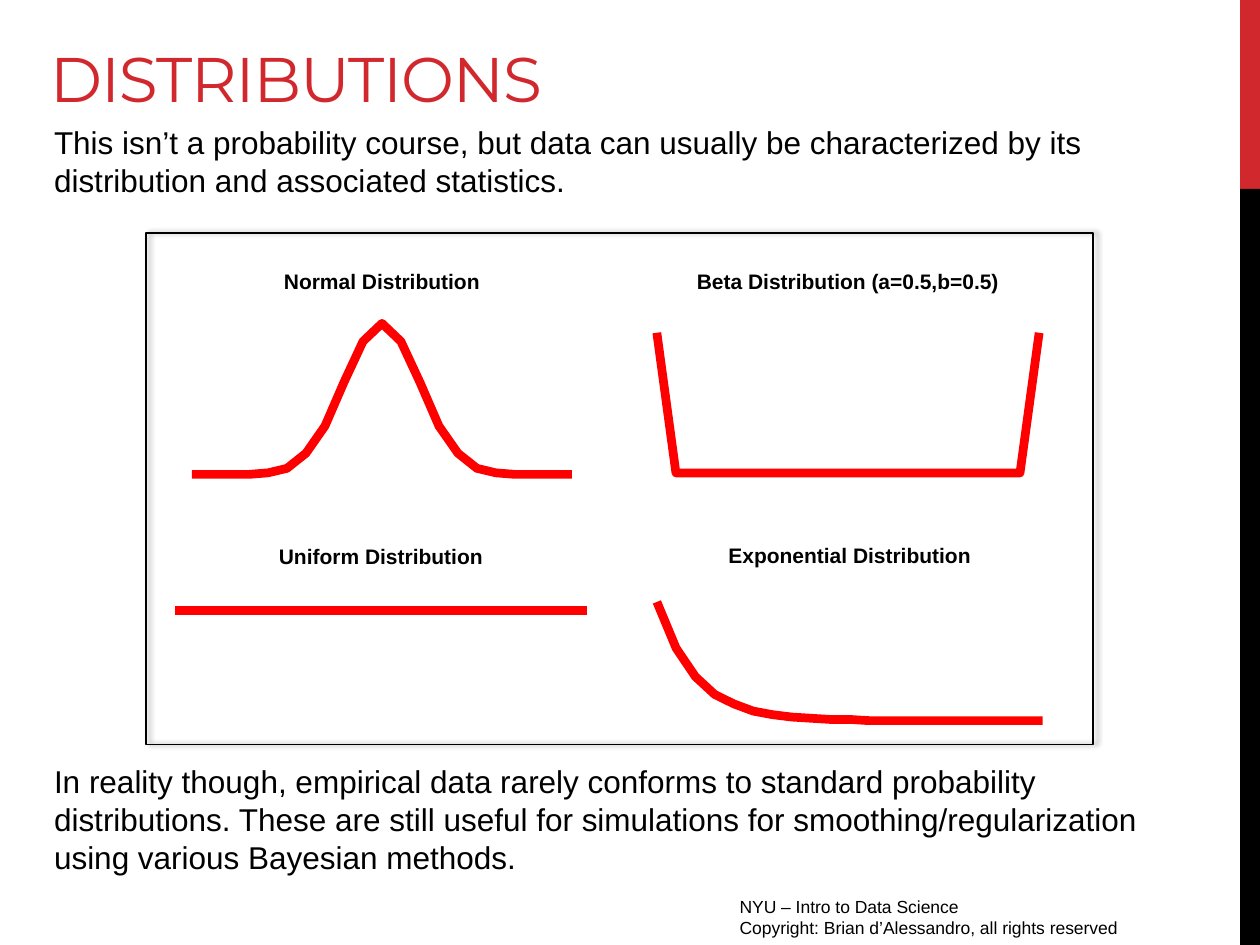
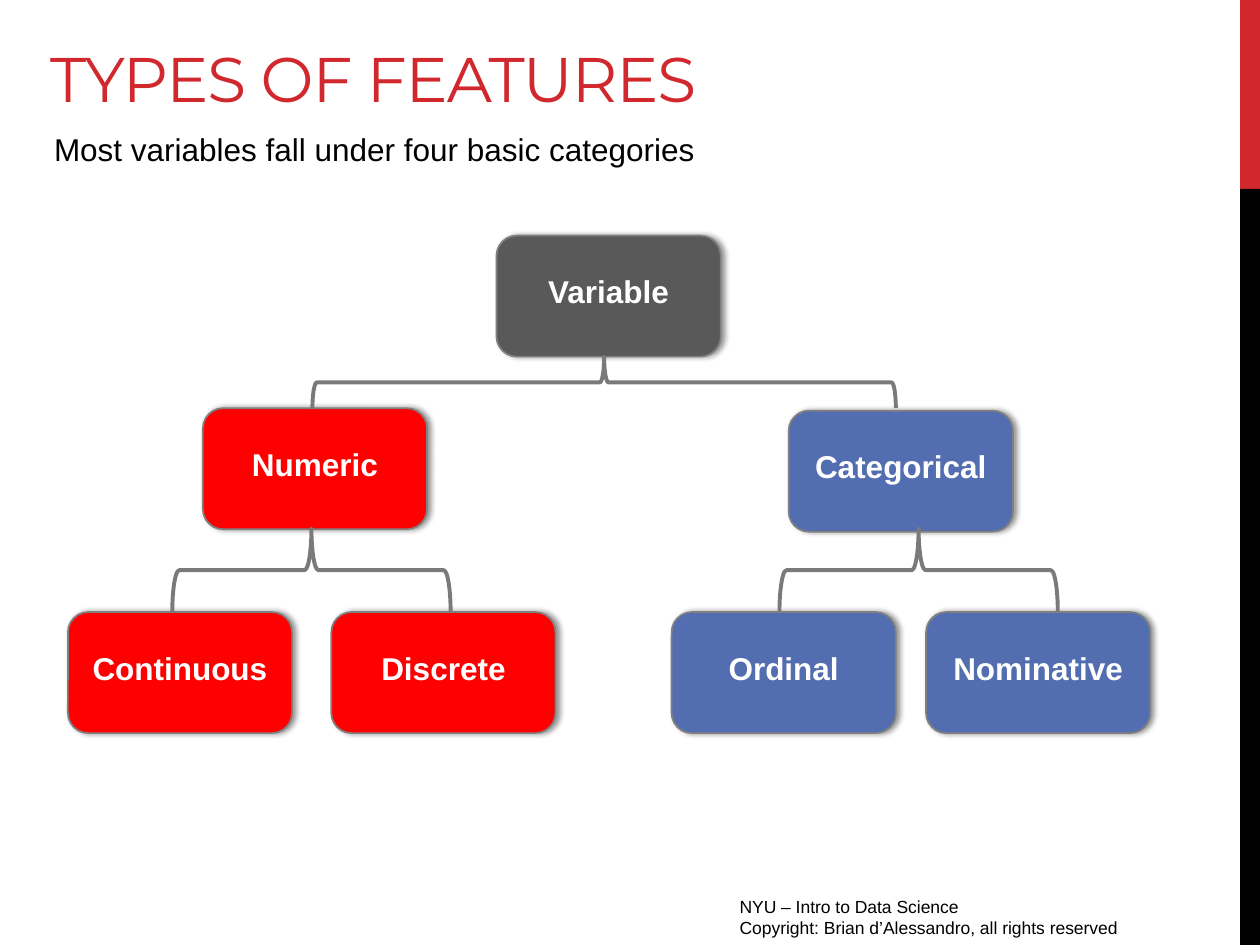
"""Build two data science slides: distributions and types of features."""
from math import exp
from lxml import etree
from pptx import Presentation
from pptx.chart.data import XyChartData
from pptx.dml.color import RGBColor
from pptx.enum.chart import XL_CHART_TYPE
from pptx.enum.shapes import MSO_SHAPE
from pptx.enum.text import MSO_ANCHOR, PP_ALIGN
from pptx.oxml import parse_xml
from pptx.oxml.ns import nsdecls, qn
from pptx.util import Cm, Pt

RECT, ROUND, BRACE = MSO_SHAPE.RECTANGLE, MSO_SHAPE.ROUNDED_RECTANGLE, MSO_SHAPE.LEFT_BRACE
SMOOTH = XL_CHART_TYPE.XY_SCATTER_SMOOTH_NO_MARKERS
LINES = XL_CHART_TYPE.XY_SCATTER_LINES_NO_MARKERS
TOP, MIDDLE, BOTTOM = MSO_ANCHOR.TOP, MSO_ANCHOR.MIDDLE, MSO_ANCHOR.BOTTOM
CENTER = PP_ALIGN.CENTER
HEX = {"title": "D1282E", "black": "000000", "white": "FFFFFF", "red": "FF0000",
       "gray": "595959", "blue": "526DB0", "edge": "808080", "brace": "7A7A7A"}
RGB = {name: RGBColor.from_string(code) for name, code in HEX.items()}
BODY, HEAD = "Arial", "Montserrat"
SHADOW = (f'<a:effectLst {nsdecls("a")}><a:outerShdw blurRad="39370" dist="22860" dir="0">'
          f'<a:srgbClr val="{HEX["black"]}"><a:alpha val="40000"/></a:srgbClr>'
          '</a:outerShdw></a:effectLst>')


def write(slide, text, at, size, face=BODY, color="black", anchor=TOP):
    """Add a wrapped text box with one paragraph per line."""
    frame = slide.shapes.add_textbox(*map(Cm, at)).text_frame
    frame.word_wrap = True
    frame.vertical_anchor = anchor
    frame.text = text
    for para in frame.paragraphs:
        para.font.size, para.font.name = Pt(size), face
        para.font.color.rgb = RGB[color]
    return frame


def draw(slide, kind, at, fill=None, line=None, width=1, shadow=False):
    """Add a preset shape with an optional fill, outline and shadow."""
    shape = slide.shapes.add_shape(kind, *map(Cm, at))
    shape.shadow.inherit = False
    if fill:
        shape.fill.solid()
        shape.fill.fore_color.rgb = RGB[fill]
    else:
        shape.fill.background()
    if line:
        shape.line.color.rgb = RGB[line]
        shape.line.width = Pt(width)
    else:
        shape.line.fill.background()
    if shadow:
        props = shape._element.spPr
        props.replace(props.find(qn("a:effectLst")), parse_xml(SHADOW))
    return shape


deck = Presentation()
deck.slide_width, deck.slide_height = Cm(25.4), Cm(19.05)
pages = []
for title in ("DISTRIBUTIONS", "TYPES OF FEATURES"):
    page = deck.slides.add_slide(deck.slide_layouts[6])
    draw(page, RECT, (25, 0, 0.4, 3.81), "title")
    draw(page, RECT, (25, 3.81, 0.4, 15.24), "black")
    write(page, "NYU – Intro to Data Science\nCopyright: Brian d’Alessandro, all rights reserved",
          (14.66, 17.93, 9.53, 0.79), 10)
    head = write(page, title, (0.76, 0, 23.32, 2.44), 36, HEAD, "title", BOTTOM)
    head.paragraphs[0].runs[0]._r.get_or_add_rPr().set("spc", "-60")
    pages.append(page)
dist, types = pages

write(dist, "This isn’t a probability course, but data can usually be characterized by its "
      "distribution and associated statistics.", (0.84, 2.36, 22.53, 1.8), 18)

steps = [i / 20 for i in range(21)]
bell = [round(100 * exp(-(x - 0.5) ** 2 / 0.02)) for x in steps]
beta = [100] + [1] * 19 + [100]
flat = [100] * 21
decay = [round(100 * exp(-10 * x)) for x in steps]
plots = [
    ("Normal Distribution", bell, SMOOTH, (3.71, 5.11, 7.98, 4.57), 0.175),
    ("Beta Distribution (a=0.5,b=0.5)", beta, LINES, (13.08, 5.11, 8.03, 4.57), 0.225),
    ("Uniform Distribution", flat, SMOOTH, (3.35, 10.64, 8.66, 4.93), 0.21),
    ("Exponential Distribution", decay, SMOOTH, (13.08, 10.64, 8.1, 3.99), 0.255),
]
for name, vals, kind, at, top in plots:
    data = XyChartData()
    curve = data.add_series("Series 1")
    for x, y in zip(steps, vals):
        curve.add_data_point(x, y)
    chart = dist.shapes.add_chart(kind, *map(Cm, at), data).chart
    chart.has_legend = False
    chart.font.name, chart.font.size = BODY, Pt(10)
    chart.font.color.rgb = RGB["black"]
    label = chart.chart_title.text_frame
    label.text = name
    font = label.paragraphs[0].font
    font.name, font.size, font.bold = BODY, Pt(12), True
    font.color.rgb = RGB["black"]
    for axis, peak in ((chart.category_axis, 1), (chart.value_axis, 120)):
        axis.minimum_scale, axis.maximum_scale = 0, peak
        axis.has_major_gridlines = False
        axis.visible = False
    line = chart.plots[0].series[0]
    line.smooth = kind == SMOOTH
    line.format.line.color.rgb = RGB["red"]
    line.format.line.width = Pt(5)
    area = chart._chartSpace.chart.plotArea
    for old in area.findall(qn("c:layout")):
        area.remove(old)
    box = etree.Element(qn("c:layout"))
    inner = etree.SubElement(box, qn("c:manualLayout"))
    for tag, val in (("layoutTarget", "inner"), ("xMode", "edge"), ("yMode", "edge"),
                     ("x", 0.02), ("y", top), ("w", 0.96), ("h", round(0.975 - top, 3))):
        etree.SubElement(inner, qn(f"c:{tag}")).set("val", str(val))
    area.insert(0, box)

draw(dist, RECT, (2.95, 4.7, 19.08, 10.31), None, "black", 1, True)
write(dist, "In reality though, empirical data rarely conforms to standard probability "
      "distributions. These are still useful for simulations for smoothing/regularization "
      "using various Bayesian methods.", (0.84, 15.24, 22.53, 2.57), 18)

write(types, "Most variables fall under four basic categories", (0.84, 2.49, 22.53, 1.02), 18)
nodes = [
    ("Variable", 10.01, 4.75, "gray"),
    ("Numeric", 4.09, 8.23, "red"),
    ("Categorical", 15.9, 8.28, "blue"),
    ("Continuous", 1.37, 12.34, "red"),
    ("Discrete", 6.68, 12.34, "red"),
    ("Ordinal", 13.54, 12.34, "blue"),
    ("Nominative", 18.67, 12.34, "blue"),
]
for name, left, top, fill in nodes:
    node = draw(types, ROUND, (left, top, 4.52, 2.44), fill, "edge", 1, True)
    frame = node.text_frame
    frame.margin_bottom = Cm(0.33)
    frame.vertical_anchor = MIDDLE
    frame.text = name
    para = frame.paragraphs[0]
    para.alignment = CENTER
    para.font.name, para.font.size, para.font.bold = BODY, Pt(18), True
    para.font.color.rgb = RGB["white"]

for at in ((11.66, 1.83, 1.04, 11.76), (5.44, 8.69, 1.68, 5.61), (17.68, 8.69, 1.68, 5.61)):
    brace = draw(types, BRACE, at, None, "brace", 2.25)
    brace.rotation = 270
    brace._element.spPr.xfrm.set("flipH", "1")

deck.save("out.pptx")
